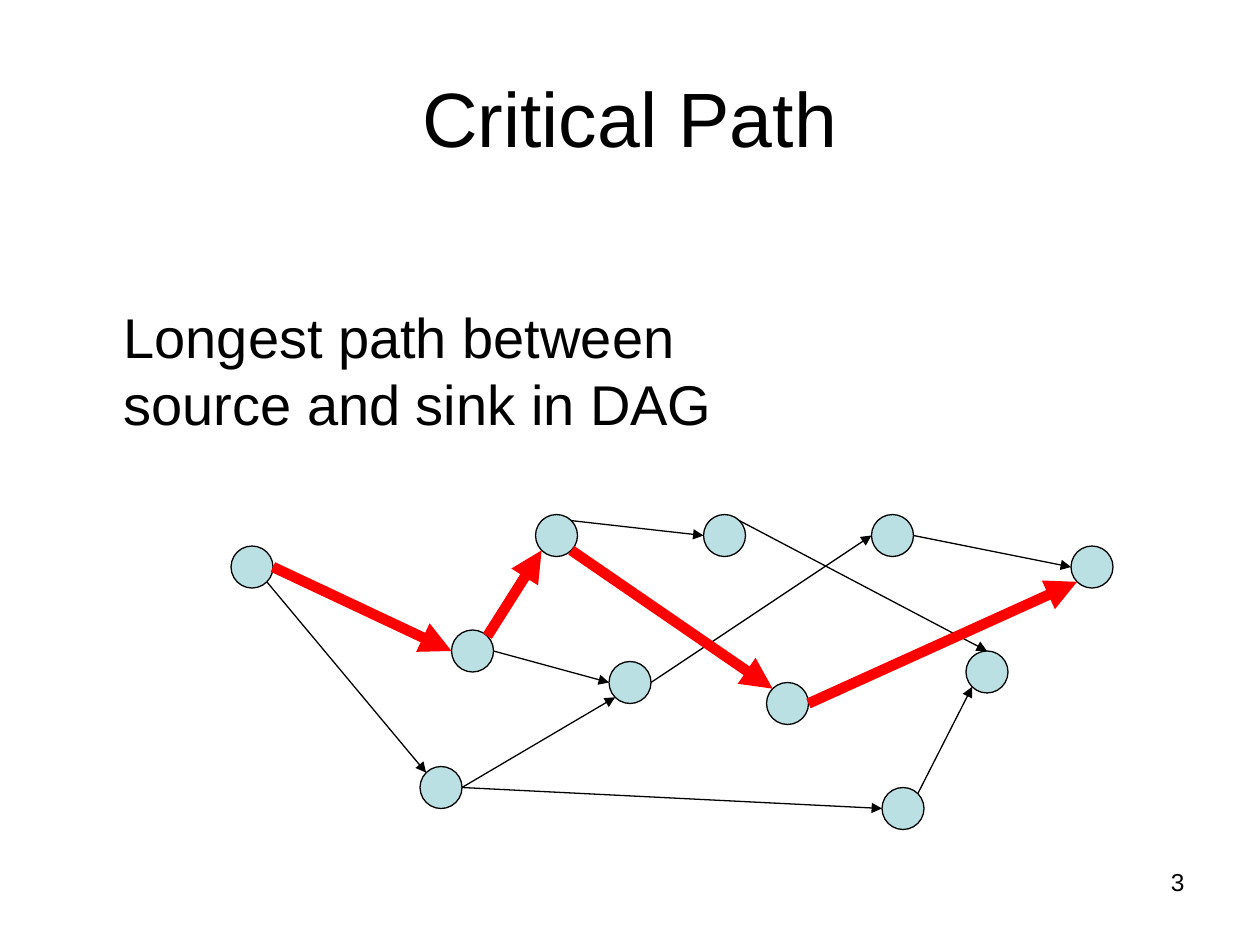
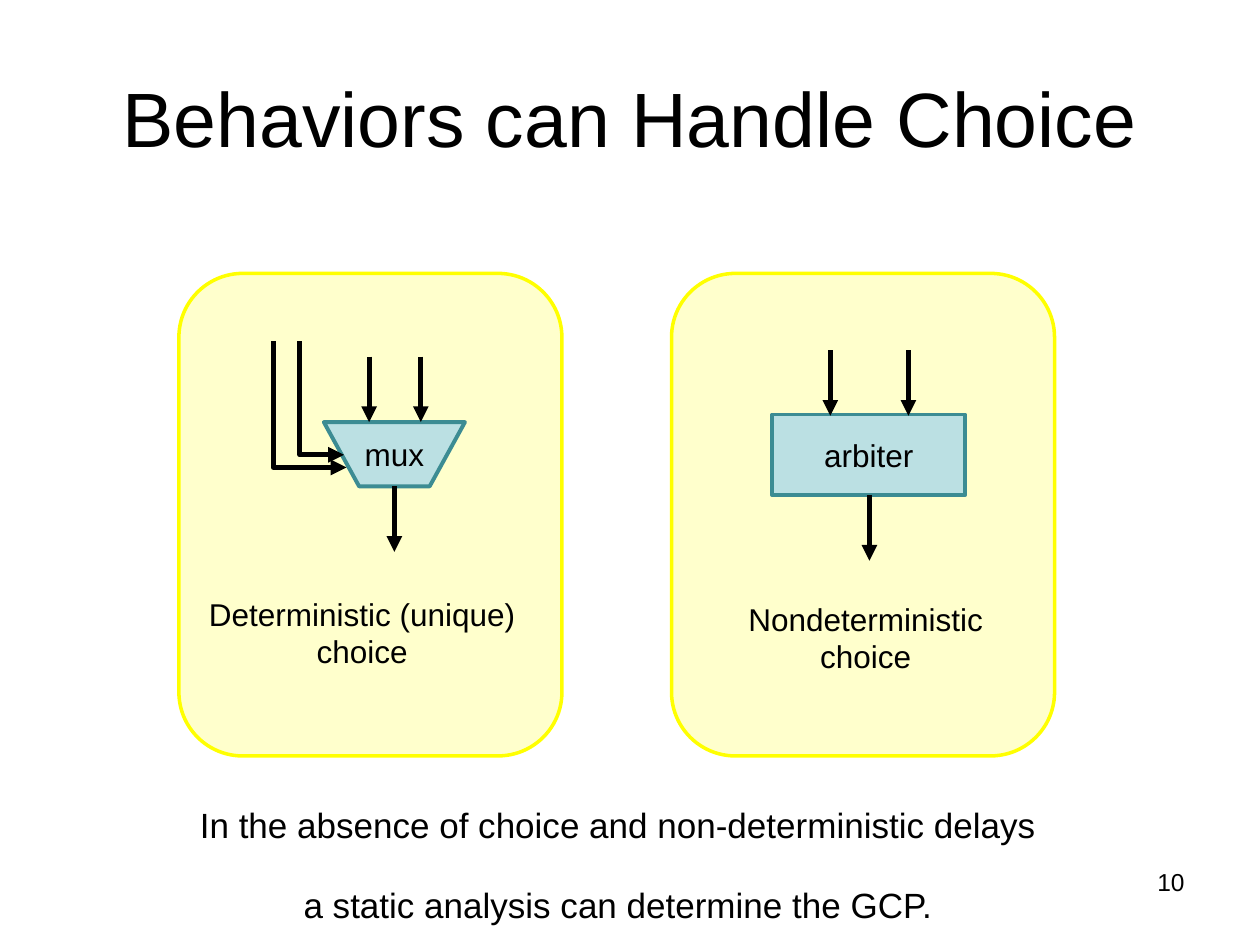
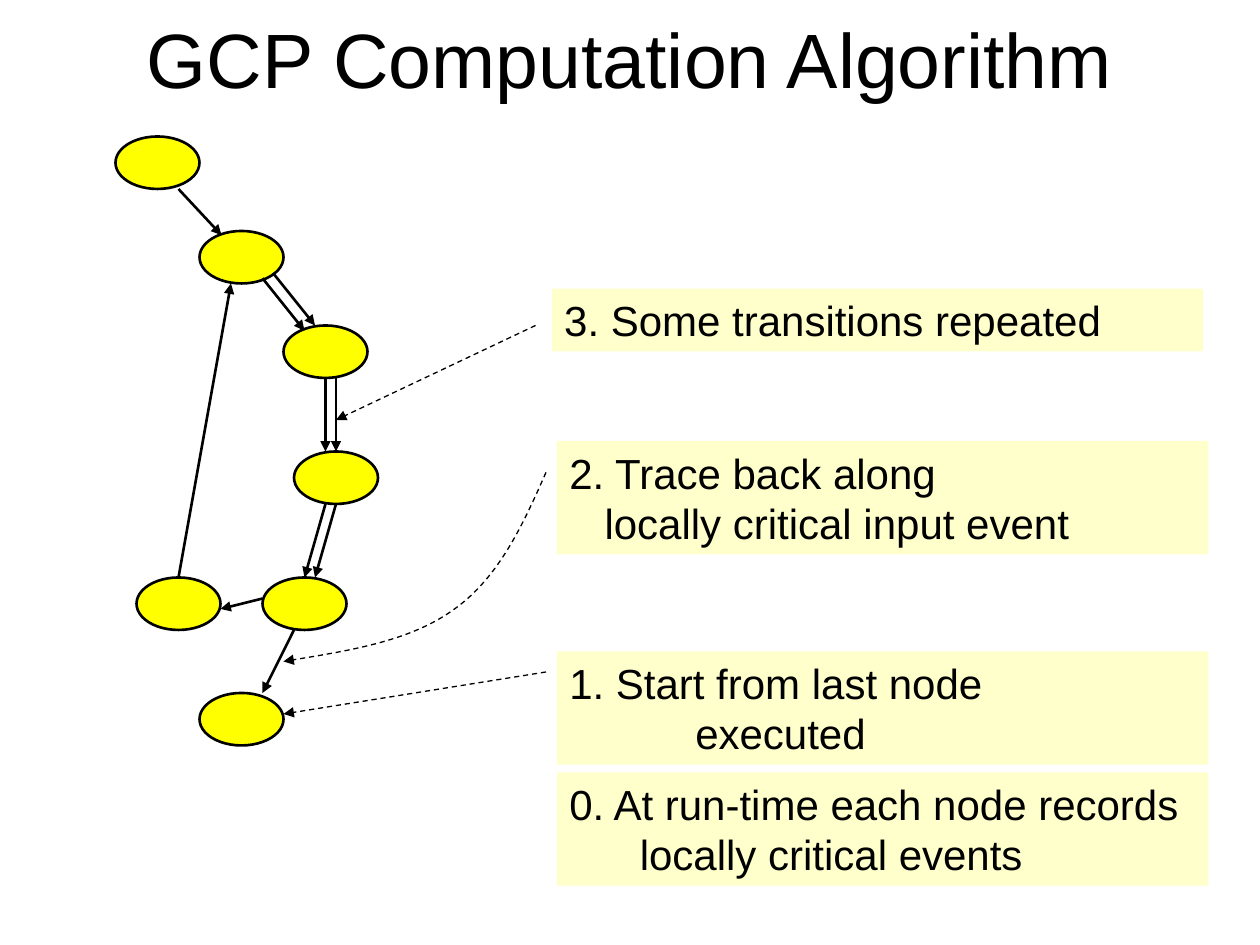
from math import cos, radians, sin

from lxml.etree import SubElement
from pptx import Presentation
from pptx.dml.color import RGBColor
from pptx.enum.dml import MSO_LINE
from pptx.enum.shapes import MSO_CONNECTOR, MSO_SHAPE
from pptx.enum.text import MSO_ANCHOR, PP_ALIGN
from pptx.oxml.ns import qn
from pptx.util import Inches, Pt

BLACK = RGBColor(0x00, 0x00, 0x00)
RED = RGBColor(0xFF, 0x00, 0x00)
PALE_BLUE = RGBColor(0xBB, 0xE0, 0xE3)
TEAL = RGBColor(0x3C, 0x8C, 0x93)
YELLOW = RGBColor(0xFF, 0xFF, 0x00)
CREAM = RGBColor(0xFF, 0xFF, 0xCC)
FONT = "Arial"
UNITS_PER_INCH = 12
TITLE_AND_BODY, TITLE_ONLY = 1, 5
TITLE_PLACE = (0.5, 0.3, 9, 1.25)

DAG_NODE = 4
DAG_NODES = {
    "source": (22, 52), "split": (43, 60), "top left": (51, 49),
    "middle": (58, 63), "top middle": (67, 49), "low middle": (73, 65),
    "bottom left": (40, 73), "top right": (83, 49), "right": (92, 62),
    "sink": (102, 52), "bottom right": (84, 75),
}
EAST, SOUTH_EAST, SOUTH_WEST, WEST = 0, 45, 135, 180
NORTH_WEST, NORTH, NORTH_EAST = 225, 270, 315
PLAIN_EDGES = [
    ("split", EAST, "middle", WEST),
    ("source", SOUTH_EAST, "bottom left", NORTH_WEST),
    ("bottom left", EAST, "bottom right", WEST),
    ("middle", EAST, "top right", WEST),
    ("top left", NORTH_EAST, "top middle", WEST),
    ("top middle", NORTH_EAST, "right", NORTH),
    ("bottom left", EAST, "middle", SOUTH_WEST),
    ("bottom right", NORTH_EAST, "right", SOUTH_WEST),
    ("top right", EAST, "sink", WEST),
]
CRITICAL_EDGES = [
    ("source", EAST, "split", WEST),
    ("split", NORTH_EAST, "top left", SOUTH_WEST),
    ("top left", SOUTH_EAST, "low middle", NORTH_WEST),
    ("low middle", EAST, "sink", SOUTH_WEST),
]

PANEL_LEFTS = (1.42, 5.33)
CHOICE_ARROWS = [
    (2.93, 2.83), (3.34, 2.83), (3.13, 3.86),
    (6.59, 2.78), (7.21, 2.78), (6.9, 3.93),
]
CHOICE_ARROW_LENGTH = 0.52
MUX_OUTLINE = [(2.57, 3.35), (2.85, 3.86), (3.41, 3.86), (3.69, 3.35)]
SELECT_LINES = [
    [(2.38, 2.71), (2.38, 3.61), (2.73, 3.61)],
    [(2.17, 2.71), (2.17, 3.71), (2.75, 3.71)],
]
CHOICE_TEXTS = [
    ((1.56, 4.67, 2.63, 0.7), ["Deterministic (unique)", "choice"], 18),
    ((5.84, 4.71, 2.06, 0.7), ["Nondeterministic", "choice"], 18),
    ((1.45, 6.33, 6.91, 0.77),
     ["In the absence of choice and non-deterministic delays \v"
      "a static analysis can determine the GCP."], 20),
]

EVENT_WIDTH, EVENT_HEIGHT = 8, 5
EVENTS = [(19, 66), (25, 55), (28, 43), (27, 31), (19, 22), (11, 13), (13, 55)]
TRANSITIONS = [
    ((28, 60), (25, 66)), ((17, 55), (22, 27)),
    ((25, 57), (21, 58)), ((17, 18), (21.1, 22.4)),
]
REPEATED_TRANSITIONS = [
    ((32, 48), (30, 55), (-1, 0)),
    ((32, 36), (32, 43), (-1, 0)),
    ((26, 26), (30, 31), (-1, 0.5)),
]
POINTERS = [((52, 64), (27, 68)), ((51, 31), (32, 40))]
CURVED_POINTER = [(52, 45), (49.8, 50), (47.5, 55), (43.3, 58),
                  (39.2, 61), (33.1, 62), (27, 63)]
STEPS = [
    (4.38, 2.29, 0.5, 0, "3. Some transitions repeated"),
    (4.42, 3.5, 0.9, 0.28, "2. Trace back along \vlocally critical input event"),
    (4.42, 5.17, 0.9, 1, "1. Start from last node\vexecuted"),
    (4.42, 6.13, 0.9, 0.56,
     "0. At run-time each node records locally critical events"),
]
STEP_WIDTH = 5.17


def grid(*units):
    return tuple(unit / UNITS_PER_INCH for unit in units)


def place(shape, box):
    shape.left, shape.top, shape.width, shape.height = map(Inches, box)


def write(shape, paragraphs, size, align=PP_ALIGN.LEFT, hang=0):
    frame = shape.text_frame
    frame.text = "\n".join(paragraphs)
    for para in frame.paragraphs:
        para.alignment = align
        if hang:
            properties = para._p.get_or_add_pPr()
            properties.set("marL", str(Inches(hang)))
            properties.set("indent", str(-Inches(hang)))
        for span in para.runs:
            span.font.name = FONT
            span.font.size = Pt(size)
            span.font.color.rgb = BLACK
    return frame


def add_page(deck, title, number=None, title_place=TITLE_PLACE, layout=TITLE_ONLY):
    page = deck.slides.add_slide(deck.slide_layouts[layout])
    place(page.shapes.title, title_place)
    frame = write(page.shapes.title, [title], 44, PP_ALIGN.CENTER)
    frame.vertical_anchor = MSO_ANCHOR.MIDDLE
    if number:
        add_text(page, (7.17, 6.83, 2.33, 0.52), [number], 14, PP_ALIGN.RIGHT, True)
    return page


def add_text(page, box, paragraphs, size, align, wrap):
    text_box = page.shapes.add_textbox(*map(Inches, box))
    write(text_box, paragraphs, size, align).word_wrap = wrap


def paint(shape, fill=None, line=None, weight=1.0):
    shape.shadow.inherit = False
    if fill is None:
        shape.fill.background()
    else:
        shape.fill.solid()
        shape.fill.fore_color.rgb = fill
    if line is None:
        shape.line.fill.background()
    else:
        shape.line.color.rgb = line
        shape.line.width = Pt(weight)


def add_box(page, kind, box, fill, line=None, weight=1.0):
    shape = page.shapes.add_shape(kind, *map(Inches, box))
    paint(shape, fill, line, weight)
    return shape


def add_outline(page, points, close):
    corners = [tuple(map(Inches, point)) for point in points]
    builder = page.shapes.build_freeform(*corners[0])
    builder.add_line_segments(corners[1:], close=close)
    return builder.convert_to_shape()


def add_arrowhead(shape):
    line = shape._element.spPr.find(qn("a:ln"))
    SubElement(line, qn("a:tailEnd"), type="triangle")


def add_arrow(page, start, end, weight, color=BLACK, dashed=False):
    arrow = page.shapes.add_connector(
        MSO_CONNECTOR.STRAIGHT, *map(Inches, (*start, *end)))
    arrow.line.color.rgb = color
    arrow.line.width = Pt(weight)
    if dashed:
        arrow.line.dash_style = MSO_LINE.DASH
    add_arrowhead(arrow)
    SubElement(arrow._element.spPr, qn("a:effectLst"))


def bend(shape):
    segments = list(shape._element.iter(qn("a:lnTo")))
    route = segments[0].getparent()
    for first in range(0, len(segments), 3):
        curve = SubElement(route, qn("a:cubicBezTo"))
        for segment in segments[first:first + 3]:
            curve.append(segment[0])
            route.remove(segment)


def rim(name, angle):
    left, top = DAG_NODES[name]
    radius = DAG_NODE / 2
    return grid(left + radius + radius * cos(radians(angle)),
                top + radius + radius * sin(radians(angle)))


def build_critical_path(deck):
    page = add_page(deck, "Critical Path", "3", layout=TITLE_AND_BODY)
    body = page.placeholders[1]
    place(body, (0.5, 1.67, 6.08, 2))
    frame = write(body, ["Longest path between \vsource and sink in DAG"], 32)
    frame.margin_top = Inches(0.73)
    properties = frame.paragraphs[0]._p.get_or_add_pPr()
    properties.set("marL", str(Inches(0.38)))
    properties.set("indent", "0")
    frame.paragraphs[0].space_before = Pt(0)
    SubElement(properties, qn("a:buNone"))
    for left, top in DAG_NODES.values():
        add_box(page, MSO_SHAPE.OVAL, grid(left, top, DAG_NODE, DAG_NODE),
                PALE_BLUE, BLACK, 0.75)
    for edges, weight, color in ((PLAIN_EDGES, 0.75, BLACK), (CRITICAL_EDGES, 6, RED)):
        for start, start_angle, end, end_angle in edges:
            add_arrow(page, rim(start, start_angle), rim(end, end_angle), weight, color)


def build_choice(deck):
    page = add_page(deck, "Behaviors can Handle Choice", "10")
    for left in PANEL_LEFTS:
        add_box(page, MSO_SHAPE.ROUNDED_RECTANGLE, (left, 2.17, 3.04, 3.83),
                CREAM, YELLOW, 2)
    mux = add_outline(page, MUX_OUTLINE, True)
    paint(mux, PALE_BLUE, TEAL, 2.25)
    arbiter = add_box(page, MSO_SHAPE.RECTANGLE, (6.13, 3.29, 1.53, 0.64),
                      PALE_BLUE, TEAL, 2.25)
    for shape, label in ((mux, "mux"), (arbiter, "arbiter")):
        frame = write(shape, [label], 18, PP_ALIGN.CENTER)
        frame.vertical_anchor = MSO_ANCHOR.MIDDLE
        frame.word_wrap = False
    for points in SELECT_LINES:
        select = add_outline(page, points, False)
        paint(select, None, BLACK, 3)
        add_arrowhead(select)
    for x, y in CHOICE_ARROWS:
        add_arrow(page, (x, y), (x, y + CHOICE_ARROW_LENGTH), 3)
    for box, paragraphs, size in CHOICE_TEXTS:
        add_text(page, box, paragraphs, size, PP_ALIGN.CENTER, False)


def build_algorithm(deck):
    page = add_page(deck, "GCP Computation Algorithm", title_place=(0.75, 0, 8.5, 0.92))
    for left, top in EVENTS:
        add_box(page, MSO_SHAPE.OVAL, grid(left, top, EVENT_WIDTH, EVENT_HEIGHT),
                YELLOW, BLACK, 1.5)
    transitions = list(TRANSITIONS)
    for start, end, (right, down) in REPEATED_TRANSITIONS:
        twin = tuple((x + right, y + down) for x, y in (start, end))
        transitions += [(start, end), twin]
    for start, end in transitions:
        add_arrow(page, grid(*start), grid(*end), 1.5)
    for start, end in POINTERS:
        add_arrow(page, grid(*start), grid(*end), 0.75, dashed=True)
    curve = add_outline(page, [grid(*point) for point in CURVED_POINTER], False)
    bend(curve)
    paint(curve, None, BLACK, 0.75)
    curve.line.dash_style = MSO_LINE.DASH
    add_arrowhead(curve)
    for left, top, height, hang, text in STEPS:
        step = add_box(page, MSO_SHAPE.RECTANGLE, (left, top, STEP_WIDTH, height), CREAM)
        frame = write(step, [text], 24, hang=hang)
        frame.vertical_anchor = MSO_ANCHOR.TOP
        frame.word_wrap = True


def main():
    deck = Presentation()
    deck.slide_width, deck.slide_height = Inches(10), Inches(7.5)
    build_critical_path(deck)
    build_choice(deck)
    build_algorithm(deck)
    deck.save("out.pptx")


if __name__ == "__main__":
    main()
